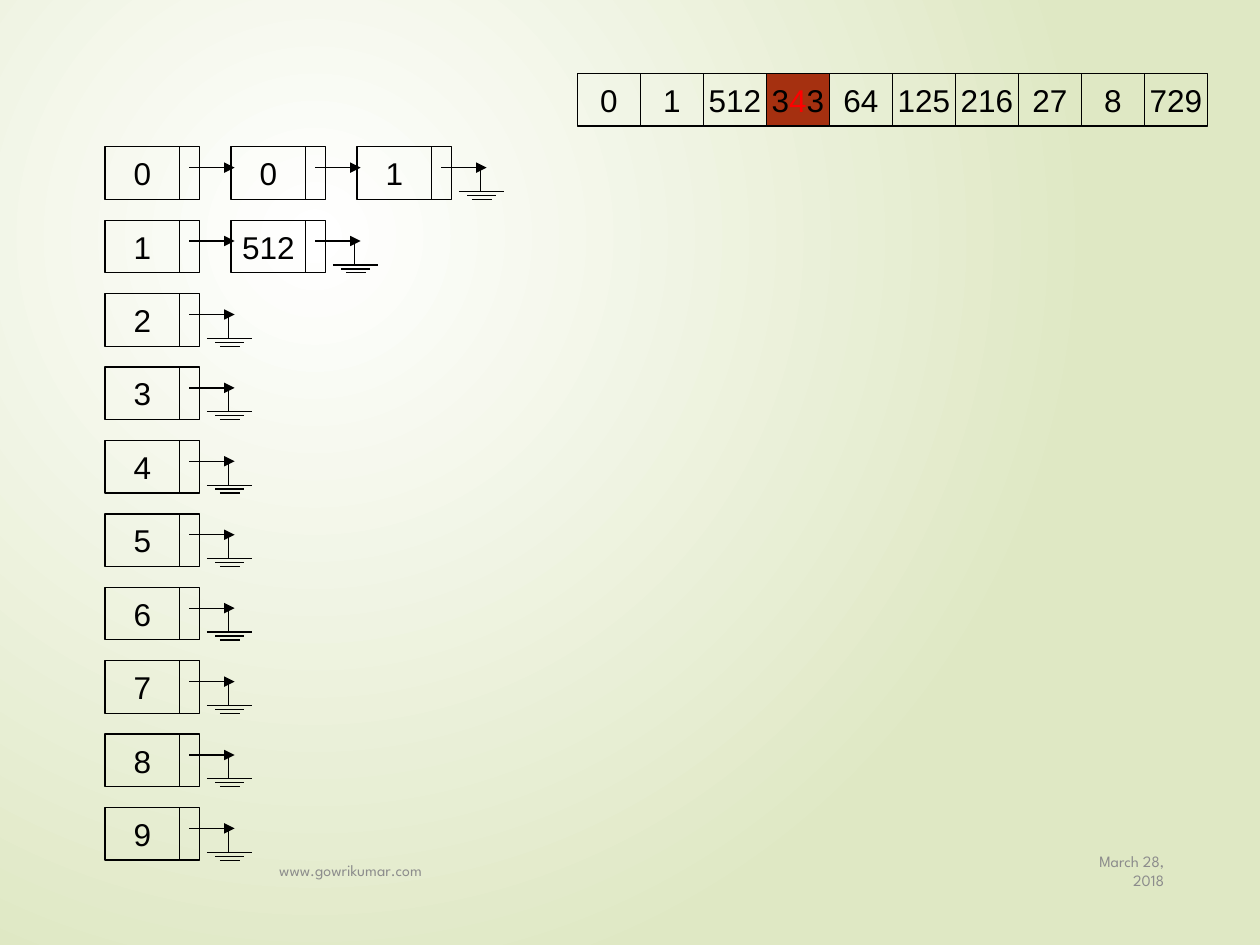
"""Build a slide of radix-sort buckets as linked lists beside the number array."""
from lxml import etree
from pptx import Presentation, util as u
from pptx.dml.color import RGBColor
from pptx.enum import shapes, text
from pptx.oxml.ns import qn

ARRAY = ["0", "1", "512", "343", "64", "125", "216", "27", "8", "729"]
CURRENT, CURRENT_DIGIT = 3, 1
BUCKETS = [["0", "1"], ["512"]] + [[] for _ in range(8)]
FOOTERS = [
    ("March 28, 2018", (21.59, 17.04, 2.13, 1.02), text.PP_ALIGN.RIGHT),
    ("www.gowrikumar.com", (5.38, 17.04, 15.88, 1.02), text.PP_ALIGN.LEFT),
]
THEME = {
    "ink": "000000", "digit": "FF0000", "highlight": "A53010", "footer": "8C8C8C",
    "background": ("FFFFFF", "DFE8C4"), "line": 0.75,
    "number_font": ("Arial", 18), "footer_font": ("League Spartan", 9),
}
CELL_HEIGHT = 1.06
ARRAY_LEFT, ARRAY_TOP, ARRAY_PITCH = 11.64, 1.48, 1.27
NODE_LEFT, NODE_TOP, NODE_PITCH, ROW_PITCH = 2.12, 2.96, 2.54, 1.48
VALUE_WIDTH, POINTER_WIDTH = 1.5, 0.41
ARROW_START, ARROW_END, ARROW_DROP = 1.69, 2.61, 0.42
STEM, GROUND_CENTER = 2.49, 2.51
GROUND_BARS = [(0.9, 0.92), (0.98, 0.58), (1.06, 0.4)]


def color(name):
    return RGBColor.from_string(THEME[name])


def apply(target, values):
    for name, value in values.items():
        setattr(target, name, value)


def write(box, spans, font, align, wrap):
    apply(box.text_frame, {"word_wrap": wrap, "vertical_anchor": text.MSO_ANCHOR.MIDDLE})
    para = box.text_frame.paragraphs[0]
    para.alignment = align
    family, size = THEME[font]
    for words, ink in spans:
        span = para.add_run()
        span.text = words
        apply(span.font, {"name": family, "size": u.Pt(size)})
        span.font.color.rgb = color(ink)


def add_cell(parent, left, top, width, spans=(), fill=None):
    area = map(u.Cm, (left, top, width, CELL_HEIGHT))
    cell = parent.shapes.add_shape(shapes.MSO_SHAPE.RECTANGLE, *area)
    cell.shadow.inherit = False
    if fill:
        cell.fill.solid()
        cell.fill.fore_color.rgb = color(fill)
    else:
        cell.fill.background()
    cell.line.color.rgb = color("ink")
    cell.line.width = u.Pt(THEME["line"])
    if spans:
        write(cell, spans, "number_font", text.PP_ALIGN.CENTER, False)


def add_line(parent, *ends, arrow=False):
    line = parent.shapes.add_connector(shapes.MSO_CONNECTOR.STRAIGHT, *map(u.Cm, ends))
    line.line.color.rgb = color("ink")
    line.line.width = u.Pt(THEME["line"])
    if arrow:
        etree.SubElement(line.line._get_or_add_ln(), qn("a:tailEnd"), type="triangle")
    etree.SubElement(line._element.spPr, qn("a:effectLst"))


def add_node(page, left, top, value, last):
    node = page.shapes.add_group_shape()
    add_cell(node, left, top, VALUE_WIDTH, [(value, "ink")])
    add_cell(node, left + VALUE_WIDTH, top, POINTER_WIDTH)
    level = top + ARROW_DROP
    add_line(node, left + ARROW_START, level, left + ARROW_END, level, arrow=True)
    if last:
        center = left + GROUND_CENTER
        for drop, width in GROUND_BARS:
            add_line(node, center - width / 2, top + drop, center + width / 2, top + drop)
        add_line(node, left + STEM, top + GROUND_BARS[0][0], left + STEM, level)


def paint_background(page):
    fill = page.background.fill
    fill.gradient()
    for stop, shade in zip(fill.gradient_stops, THEME["background"]):
        stop.color.rgb = RGBColor.from_string(shade)
    gradient = next(page.element.iter(qn("a:gradFill")))
    gradient.remove(gradient.find(qn("a:lin")))
    circle = etree.SubElement(gradient, qn("a:path"), {"path": "circle"})
    etree.SubElement(circle, qn("a:fillToRect"), l="50000", t="50000", r="100000", b="100000")


def main():
    deck = Presentation()
    apply(deck, {"slide_width": u.Cm(25.4), "slide_height": u.Cm(19.05)})
    page = deck.slides.add_slide(deck.slide_layouts[6])
    paint_background(page)
    for words, area, align in FOOTERS:
        box = page.shapes.add_textbox(*map(u.Cm, area))
        write(box, [(words, "footer")], "footer_font", align, True)
    for index, number in enumerate(ARRAY):
        spans, fill = [(number, "ink")], None
        if index == CURRENT:
            spans = [(digit, "digit" if place == CURRENT_DIGIT else "ink")
                     for place, digit in enumerate(number)]
            fill = "highlight"
        add_cell(page, ARRAY_LEFT + index * ARRAY_PITCH, ARRAY_TOP, ARRAY_PITCH, spans, fill)
    for row, bucket in enumerate(BUCKETS):
        chain = [str(row)] + bucket
        for column, value in enumerate(chain):
            add_node(page, NODE_LEFT + column * NODE_PITCH, NODE_TOP + row * ROW_PITCH,
                     value, column == len(chain) - 1)
    deck.save("out.pptx")


if __name__ == "__main__":
    main()
